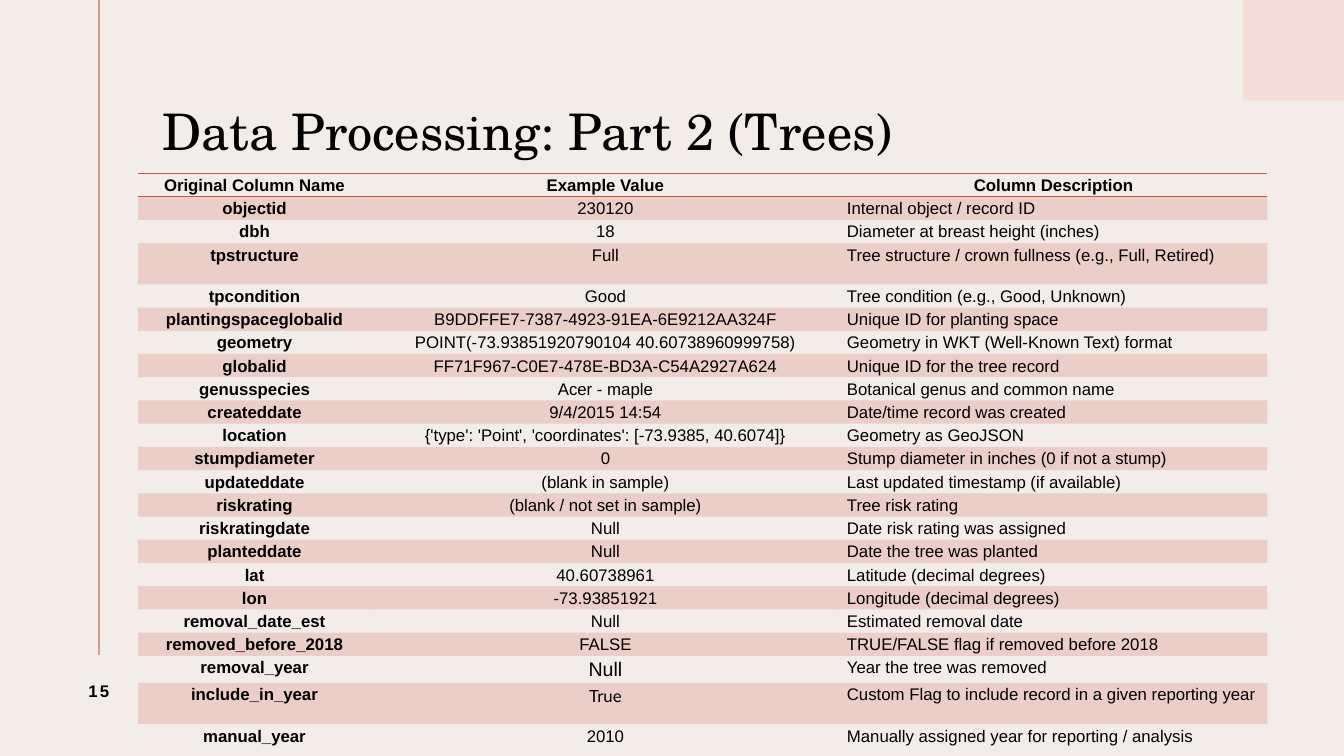
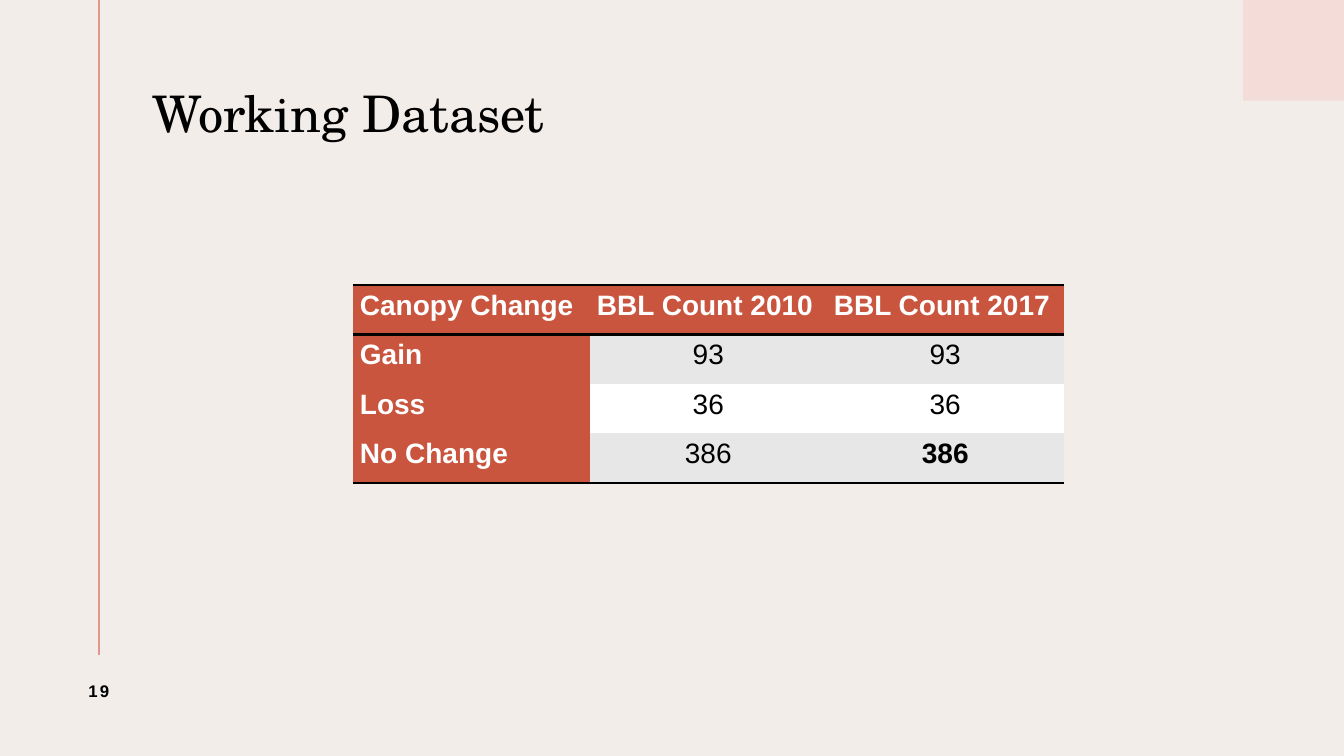
from lxml import etree
from pptx import Presentation
from pptx.dml import color
from pptx.enum import shapes, text
from pptx.oxml import ns
from pptx.util import Inches, Pt

INK, PAPER, WHITE, GREY = "000000", "F3EDEA", "FFFFFF", "E7E7E7"
RUST, BLUSH, ROSE = "CA553E", "F4DDD8", "DF998B"
BODY, DISPLAY = "Arial", "TeX Gyre Schola"
NO_TABLE_STYLE = "{2D5ABB26-0587-4C30-8999-92F81FD0307C}"
CENTER, LEFT = text.PP_ALIGN.CENTER, text.PP_ALIGN.LEFT

TREE_COLUMNS = [
    ("Original Column Name", "Example Value", "Column Description"),
    ("objectid", "230120", "Internal object / record ID"),
    ("dbh", "18", "Diameter at breast height (inches)"),
    ("tpstructure", "Full", "Tree structure / crown fullness (e.g., Full, Retired)"),
    ("tpcondition", "Good", "Tree condition (e.g., Good, Unknown)"),
    ("plantingspaceglobalid", "B9DDFFE7-7387-4923-91EA-6E9212AA324F", "Unique ID for planting space"),
    ("geometry", "POINT(-73.93851920790104 40.60738960999758)", "Geometry in WKT (Well-Known Text) format"),
    ("globalid", "FF71F967-C0E7-478E-BD3A-C54A2927A624", "Unique ID for the tree record"),
    ("genusspecies", "Acer - maple", "Botanical genus and common name"),
    ("createddate", "9/4/2015 14:54", "Date/time record was created"),
    ("location", "{'type': 'Point', 'coordinates': [-73.9385, 40.6074]}", "Geometry as GeoJSON"),
    ("stumpdiameter", "0", "Stump diameter in inches (0 if not a stump)"),
    ("updateddate", "(blank in sample)", "Last updated timestamp (if available)"),
    ("riskrating", "(blank / not set in sample)", "Tree risk rating"),
    ("riskratingdate", "Null", "Date risk rating was assigned"),
    ("planteddate", "Null", "Date the tree was planted"),
    ("lat", "40.60738961", "Latitude (decimal degrees)"),
    ("lon", "-73.93851921", "Longitude (decimal degrees)"),
    ("removal_date_est", "Null", "Estimated removal date"),
    ("removed_before_2018", "FALSE", "TRUE/FALSE flag if removed before 2018"),
    ("removal_year", "Null", "Year the tree was removed"),
    ("include_in_year", "True", "Custom Flag to include record in a given reporting year"),
    ("manual_year", "2010", "Manually assigned year for reporting / analysis"),
]
TALL_ROWS = {"tpstructure", "include_in_year", "manual_year"}
CANOPY_COUNTS = [
    ("Canopy Change", "BBL Count 2010", "BBL Count 2017"),
    ("Gain", "93", "93"),
    ("Loss", "36", "36"),
    ("No Change", "386", "386"),
]


def rgb(value):
    """Turn a hex string into a colour."""
    return color.RGBColor.from_string(value)


def set_fill(fill, value, alpha=None):
    """Fill with a colour, optionally translucent, or with nothing."""
    if value is None:
        fill.background()
        return
    fill.solid()
    fill.fore_color.rgb = rgb(value)
    if alpha:
        solid = fill._xPr.find(ns.qn("a:solidFill"))
        etree.SubElement(solid[0], ns.qn("a:alpha"), val=str(alpha * 1000))


def style(para, size, ink=INK, bold=False, font=BODY, align=LEFT, spacing=None):
    """Set the font and layout of a paragraph."""
    para.font.size, para.font.name, para.font.bold = Pt(size), font, bold
    para.font.color.rgb = rgb(ink)
    para.alignment, para.line_spacing = align, spacing


def add_text(page, place, words, **look):
    """Add a vertically centred text box."""
    box = page.shapes.add_textbox(*map(Inches, place))
    frame = box.text_frame
    frame.word_wrap, frame.vertical_anchor = True, text.MSO_ANCHOR.MIDDLE
    para = frame.paragraphs[0]
    para.text = words
    style(para, **look)
    return box


def add_page(deck, title, left, top, number):
    """Add a slide with the shared decoration, title and number."""
    page = deck.slides.add_slide(deck.slide_layouts[6])
    set_fill(page.background.fill, PAPER)
    corner = page.shapes.add_shape(shapes.MSO_SHAPE.RECTANGLE, Inches(12.33), 0, Inches(1), Inches(1))
    corner.shadow.inherit = False
    set_fill(corner.fill, BLUSH)
    corner.line.fill.background()
    rule = page.shapes.add_connector(
        shapes.MSO_CONNECTOR.STRAIGHT, Inches(0.98), 0, Inches(0.98), Inches(6.5))
    rule.line.color.rgb, rule.line.width = rgb(ROSE), Pt(1.5)
    etree.SubElement(rule._element.spPr, ns.qn("a:effectLst"))
    heading = add_text(page, (left, top, 10.73, 1.56), title, size=36, font=DISPLAY, spacing=0.9)
    heading.text_frame.margin_left = 0
    footer = add_text(page, (0.45, 6.5, 1.06, 0.71), number, size=12, bold=True, align=CENTER)
    footer.text_frame.paragraphs[0].runs[0]._r.get_or_add_rPr().set("spc", "150")
    return page


def add_border(cell, side, value, width):
    """Draw one border of a table cell."""
    line = etree.SubElement(cell._tc.get_or_add_tcPr(), ns.qn("a:ln" + side), w=str(Pt(width)))
    solid = etree.SubElement(line, ns.qn("a:solidFill"))
    etree.SubElement(solid, ns.qn("a:srgbClr"), val=value)


def add_grid(page, rows, left, top, widths, heights, border, look):
    """Add a table ruled around its header and foot, with cells styled by look."""
    frame = page.shapes.add_table(
        len(rows), len(widths), Inches(left), Inches(top), Inches(sum(widths)), Inches(sum(heights)))
    table = frame.table
    table._tbl.tblPr.find(ns.qn("a:tableStyleId")).text = NO_TABLE_STYLE
    for column, width in zip(table.columns, widths):
        column.width = Inches(width)
    for r, (row, height) in enumerate(zip(rows, heights)):
        table.rows[r].height = Inches(height)
        for c, words in enumerate(row):
            cell = table.cell(r, c)
            cell.margin_left = cell.margin_right = Inches(0.07)
            cell.margin_top = cell.margin_bottom = 0
            if r == 0:
                add_border(cell, "T", *border)
            if r in (0, len(rows) - 1):
                add_border(cell, "B", *border)
            fill, font = look(r, c, row)
            set_fill(cell.fill, *fill)
            para = cell.text_frame.paragraphs[0]
            para.text = words
            para.space_after = Pt(8)
            style(para, spacing=1.15, **font)


def tree_look(r, c, row):
    """Give the fill and font of a cell in the tree table."""
    font = dict(size=12, bold=r == 0 or c == 0, align=LEFT if r and c == 2 else CENTER)
    if c == 1 and row[0] == "removal_year":
        font["size"] = 14
    if c == 1 and row[0] == "include_in_year":
        font["font"] = "Lato"
    return ((RUST, 20) if r % 2 else (None,)), font


def canopy_look(r, c, row):
    """Give the fill and font of a cell in the canopy table."""
    if r == 0 or c == 0:
        return (RUST,), dict(size=20, ink=WHITE, bold=True)
    last = (r, c) == (len(CANOPY_COUNTS) - 1, len(row) - 1)
    return (GREY if r % 2 else WHITE,), dict(size=20, bold=last, align=CENTER)


def main():
    """Build and save the deck."""
    deck = Presentation()
    deck.slide_width, deck.slide_height = Inches(13.33), Inches(7.5)
    page = add_page(deck, "Data Processing: Part 2 (Trees)", 1.61, 0.55, "15")
    heights = [0.41 if row[0] in TALL_ROWS else 0.2 for row in TREE_COLUMNS]
    add_grid(page, TREE_COLUMNS, 1.37, 1.72, [2.31, 4.65, 4.24], heights, (RUST, 1), tree_look)
    page = add_page(deck, "Working Dataset", 1.51, 0.37, "19")
    add_grid(page, CANOPY_COUNTS, 3.5, 2.83, [2.35] * 3, [0.49] * 4, (INK, 2), canopy_look)
    deck.save("out.pptx")


if __name__ == "__main__":
    main()
